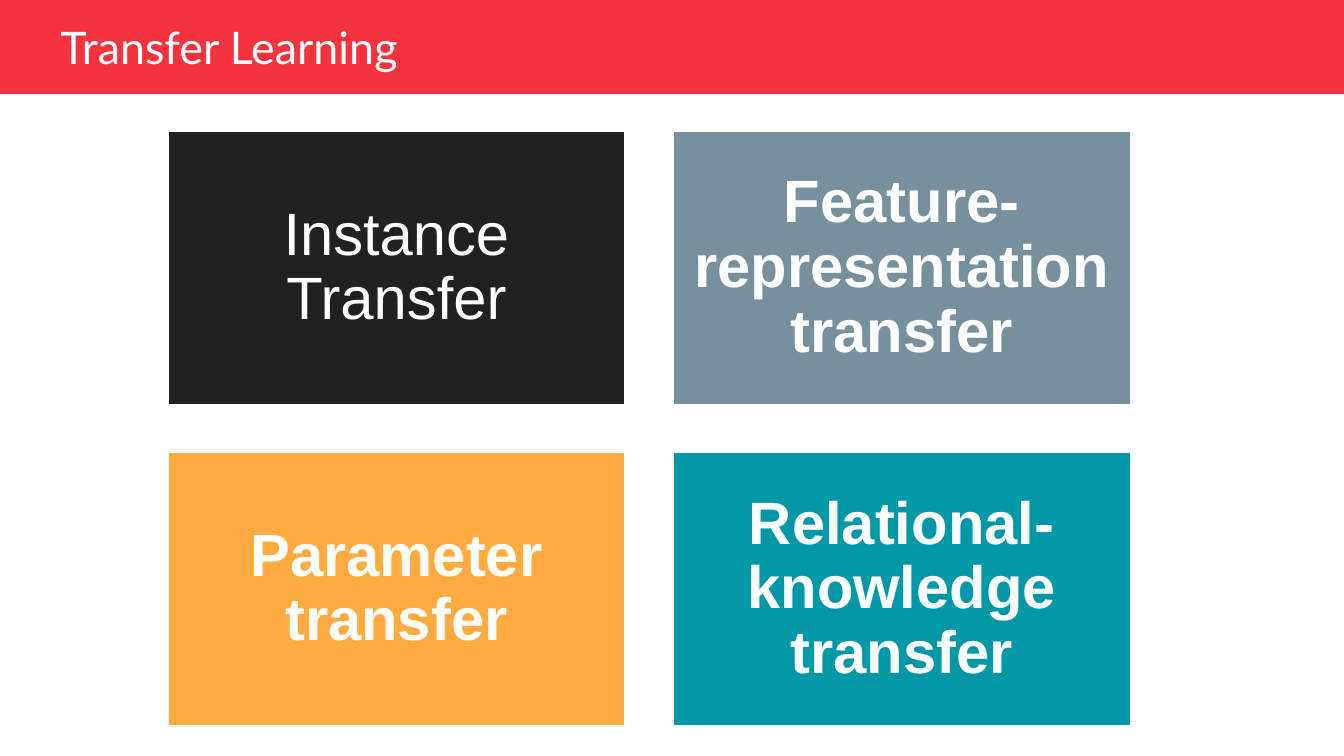
from dataclasses import dataclass

from pptx import Presentation
from pptx.dml.color import RGBColor
from pptx.enum.shapes import MSO_SHAPE
from pptx.enum.text import MSO_ANCHOR, PP_ALIGN
from pptx.shapes.autoshape import Shape
from pptx.slide import Slide
from pptx.util import Inches, Pt

WHITE = RGBColor(0xFF, 0xFF, 0xFF)
RED = RGBColor(0xF5, 0x33, 0x3F)
BLACK = RGBColor(0x21, 0x21, 0x21)
SLATE = RGBColor(0x78, 0x90, 0x9C)
ORANGE = RGBColor(0xFF, 0xAB, 0x40)
TEAL = RGBColor(0x00, 0x97, 0xA7)

SLIDE_WIDTH = 10
SLIDE_HEIGHT = SLIDE_WIDTH * 9 / 16
GRID_LEFT, GRID_TOP = 1.24, 0.97
TILE_WIDTH, TILE_HEIGHT = 3.42, 2.05
GAP = 0.34

TITLE_FORMAT = {"size": Pt(24), "name": "Lato", "bold": False}
TILE_FORMAT = {"size": Pt(32), "name": "Arial", "bold": True}


@dataclass(frozen=True)
class Tile:
    text: str
    column: int
    row: int
    fill: RGBColor
    bold: bool = True


TILES = (
    Tile("Instance Transfer", 0, 0, BLACK, bold=False),
    Tile("Feature-representation transfer", 1, 0, SLATE),
    Tile("Parameter transfer", 0, 1, ORANGE),
    Tile("Relational-knowledge transfer", 1, 1, TEAL),
)


def add_rectangle(page: Slide, left: float, top: float, width: float,
                  height: float, fill: RGBColor) -> Shape:
    box = page.shapes.add_shape(
        MSO_SHAPE.RECTANGLE, *map(Inches, (left, top, width, height)))
    box.shadow.inherit = False
    box.fill.solid()
    box.fill.fore_color.rgb = fill
    box.line.fill.background()
    return box


def write_text(box: Shape, text: str, alignment: PP_ALIGN,
               margins: tuple[float, float], font_format: dict) -> None:
    side, edge = map(Inches, margins)
    frame_format = {
        "word_wrap": True, "vertical_anchor": MSO_ANCHOR.MIDDLE,
        "margin_left": side, "margin_right": side,
        "margin_top": edge, "margin_bottom": edge,
    }
    for name, value in frame_format.items():
        setattr(box.text_frame, name, value)
    para = box.text_frame.paragraphs[0]
    para.alignment = alignment
    para.line_spacing = 0.9
    span = para.add_run()
    span.text = text
    for name, value in font_format.items():
        setattr(span.font, name, value)
    span.font.color.rgb = WHITE


def add_header(page: Slide, text: str) -> None:
    add_rectangle(page, 0, 0, SLIDE_WIDTH, 0.7, RED)
    box = page.shapes.add_textbox(*map(Inches, (0.35, 0.13, 6.49, 0.48)))
    write_text(box, text, PP_ALIGN.LEFT, (0.1, 0.05), TITLE_FORMAT)


def add_tile(page: Slide, tile: Tile) -> None:
    left = GRID_LEFT + tile.column * (TILE_WIDTH + GAP)
    top = GRID_TOP + tile.row * (TILE_HEIGHT + GAP)
    box = add_rectangle(page, left, top, TILE_WIDTH, TILE_HEIGHT, tile.fill)
    box.line.color.rgb = WHITE
    box.line.width = Pt(2)
    write_text(box, tile.text, PP_ALIGN.CENTER, (0.13, 0.13),
               TILE_FORMAT | {"bold": tile.bold})


def main() -> None:
    deck = Presentation()
    deck.slide_width = Inches(SLIDE_WIDTH)
    deck.slide_height = Inches(SLIDE_HEIGHT)
    page = deck.slides.add_slide(deck.slide_layouts[6])
    add_header(page, "Transfer Learning")
    for tile in TILES:
        add_tile(page, tile)
    deck.save("out.pptx")


if __name__ == "__main__":
    main()
